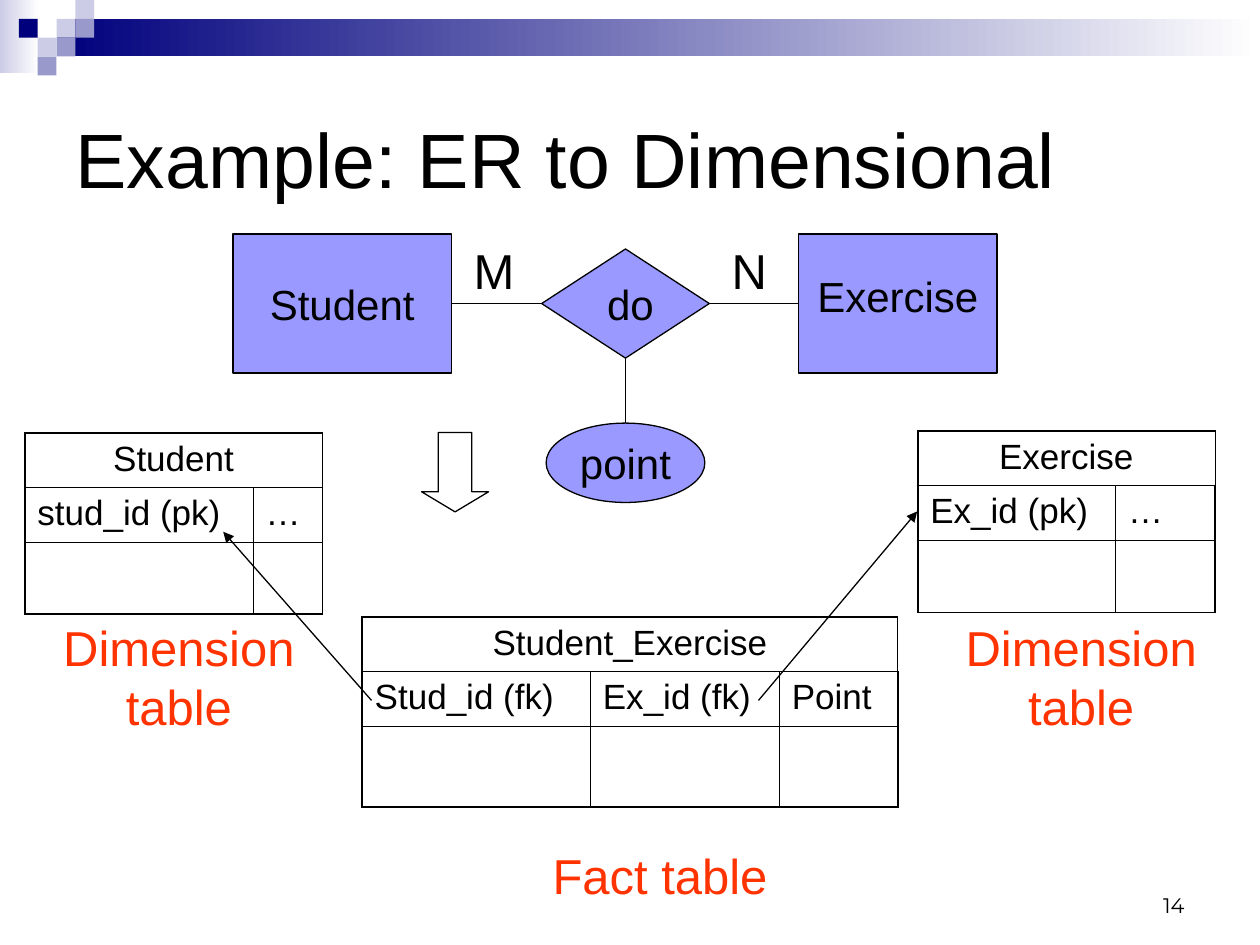
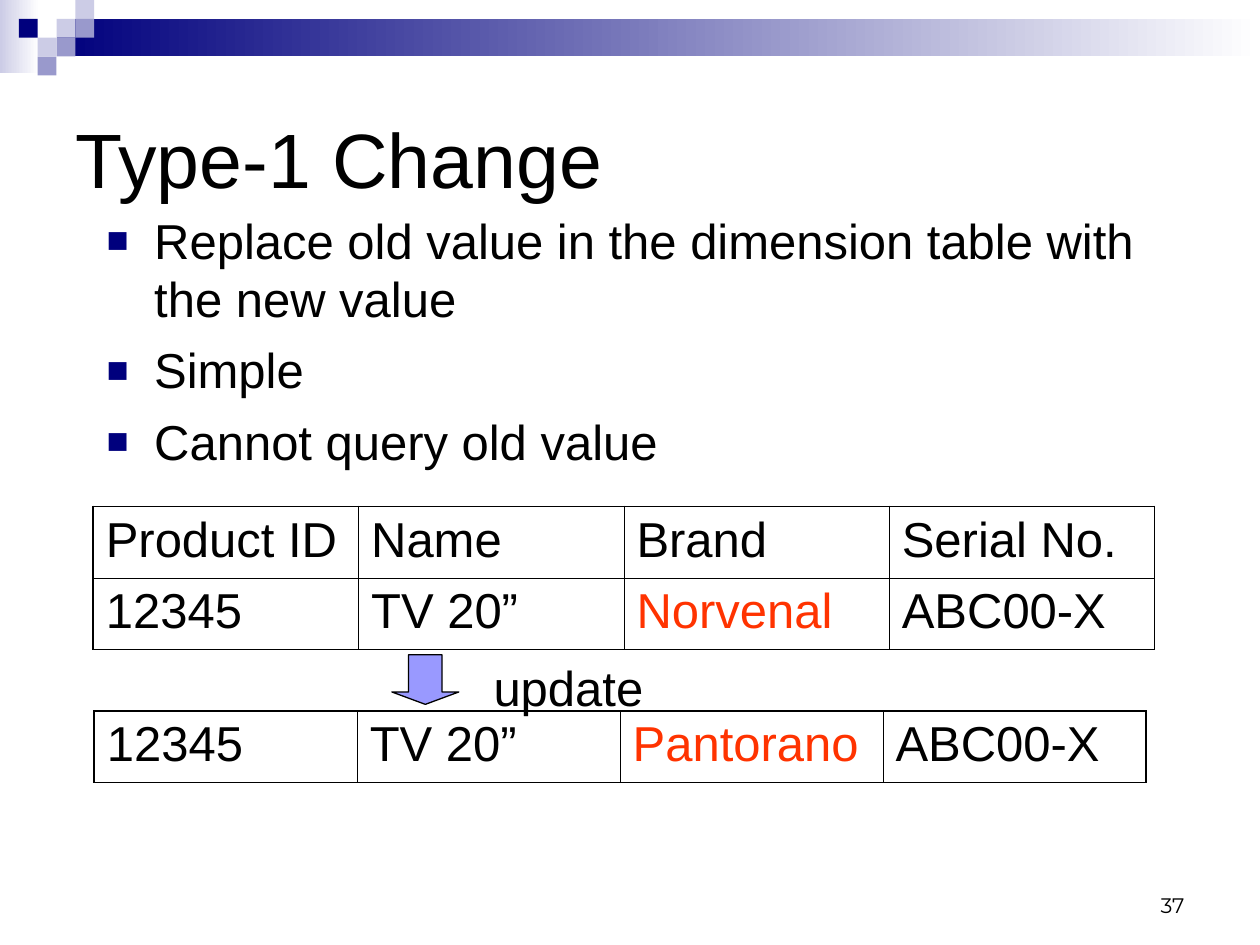
"""Build two data-warehouse slides: an ER-to-dimensional example and a type-1 change."""
import pptx
import pptx.dml.color
import pptx.enum.shapes
import pptx.enum.text
import pptx.oxml
import pptx.oxml.ns
import pptx.util

Cm = pptx.util.Cm
Pt = pptx.util.Pt
SHAPE = pptx.enum.shapes.MSO_SHAPE
ALIGN = pptx.enum.text.PP_ALIGN
ANCHOR = pptx.enum.text.MSO_ANCHOR

BLACK, RED, LILAC = "000000", "FF3300", "9999FF"
NAVY, MID, PALE, WHITE = "00007D", "9999CC", "CCCCE6", "FFFFFF"
THIN, THICK = 0.45, 1.08

FADES = [((0, 0, 0.79, 1.47), PALE), ((1.14, 0.38, 24.26, 0.76), NAVY)]
SQUARE = 0.38
SQUARES = [(3, 1, PALE), (4, 0, PALE), (4, 1, MID), (2, 2, PALE),
           (1, 1, NAVY), (3, 2, MID), (2, 3, MID)]

ER_NODES = {
    "Student": (SHAPE.RECTANGLE, (4.7, 4.72, 4.4, 2.8), (0, 0)),
    "Exercise": (SHAPE.RECTANGLE, (16.1, 4.72, 4, 2.8), (0, 0.3)),
    "do": (SHAPE.DIAMOND, (10.92, 5.02, 3.38, 2.2), (0.2, 0)),
    "point": (SHAPE.OVAL, (11.01, 8.53, 3.2, 1.6), (0, 0)),
}
ER_LINKS = [("Student", 3, "do", 1), ("do", 3, "Exercise", 1), ("do", 2, "point", 0)]
CARDINALITIES = [("M", (9.3, 4.72, 1.4, 1.45)), ("N", (14.5, 4.72, 1.4, 1.45))]
STAR_ROW = 1.1
STAR_TABLES = [
    ((7.3, 12.44), (4.6, 3.81, 2.39), 1.63, "Student_Exercise",
     ["Stud_id (fk)", "Ex_id (fk)", "Point"]),
    ((18.5, 8.69), (3.99, 2), 1.45, "Exercise", ["Ex_id (pk)", "…"]),
    ((0.5, 8.73), (4.6, 1.4), 1.45, "Student", ["stud_id (pk)", "…"]),
]
KEY_ARROWS = [((7.49, 14.12), (4.5, 10.72)), ((15.29, 14.12), (18.49, 10.31))]
CAPTIONS = [
    ("Fact table", (9.7, 16.92, 7.21, 1.45)),
    ("Dimension table", (18.19, 12.32, 7.21, 2.63)),
    ("Dimension table", (0, 12.32, 7.21, 2.63)),
]

POINTS = ["Replace old value in the dimension table with the new value",
          "Simple", "Cannot query old value"]
OLD_BRAND, NEW_BRAND = "Norvenal", "Pantorano"
PRODUCT_TABLES = [
    ((1.88, 10.21), 5.35, [["Product ID", "Name", "Brand", "Serial No."],
                           ["12345", "TV 20”", OLD_BRAND, "ABC00-X"]]),
    ((1.9, 14.33), 5.3, [["12345", "TV 20”", NEW_BRAND, "ABC00-X"]]),
]


def color(value):
    """Turn a hex string into a colour."""
    return pptx.dml.color.RGBColor.from_string(value)


def xml(markup):
    """Parse one drawing element written with the a: prefix."""
    head, gap, rest = markup.partition(" ")
    return pptx.oxml.parse_xml(f"{head} {pptx.oxml.ns.nsdecls('a')}{gap}{rest}")


def write(frame, text, size=28, ink=BLACK, font="Arial", align=ALIGN.LEFT,
          anchor=None, gap=0, bullet=False):
    """Fill a text frame with one paragraph per line of text."""
    frame.word_wrap = True
    if anchor is not None:
        frame.vertical_anchor = anchor
    for number, line in enumerate(text.split("\n")):
        para = frame.add_paragraph() if number else frame.paragraphs[0]
        para.alignment = align
        para.space_before = Pt(gap if number else 0)
        if bullet:
            props = para._p.get_or_add_pPr()
            props.set("marL", str(Cm(0.96)))
            props.set("indent", str(-Cm(0.96)))
            props.append(xml(f'<a:buClr ><a:srgbClr val="{NAVY}"/></a:buClr>'))
            props.append(xml('<a:buSzPct val="75000"/>'))
            props.append(xml('<a:buFont typeface="Arial"/>'))
            props.append(xml('<a:buChar char="■"/>'))
        span = para.add_run()
        span.text = line
        span.font.size, span.font.name = Pt(size), font
        span.font.color.rgb = color(ink)


def add_label(page, text, place, **style):
    """Add a text box."""
    box = page.shapes.add_textbox(*map(Cm, place))
    write(box.text_frame, text, **style)


def add_figure(page, kind, place, fill=None, line=BLACK):
    """Add a preset shape; a pair of fills makes a left-to-right fade."""
    figure = page.shapes.add_shape(kind, *map(Cm, place))
    figure.shadow.inherit = False
    if fill is None:
        figure.fill.background()
    elif isinstance(fill, tuple):
        figure.fill.gradient()
        figure.fill.gradient_angle = 0
        for position, (stop, shade) in enumerate(zip(figure.fill.gradient_stops, fill)):
            stop.position, stop.color.rgb = position, color(shade)
    else:
        figure.fill.solid()
        figure.fill.fore_color.rgb = color(fill)
    if line:
        figure.line.color.rgb = color(line)
        figure.line.width = Pt(0.75)
    else:
        figure.line.fill.background()
    return figure


def add_link(page, start=(0, 0), end=(0, 0), arrow=False):
    """Add a thin straight connector, with an arrowhead at its end if asked."""
    link = page.shapes.add_connector(
        pptx.enum.shapes.MSO_CONNECTOR.STRAIGHT, *map(Cm, (*start, *end)))
    link.line.color.rgb = color(BLACK)
    link.line.width = Pt(0.75)
    if arrow:
        link.line._get_or_add_ln().append(xml('<a:tailEnd type="triangle"/>'))
    link.element.spPr.append(xml("<a:effectLst />"))
    return link


def add_grid(page, corner, widths, heights):
    """Add an unfilled table with a thick frame and thin inner rules."""
    rows, cols = len(heights), len(widths)
    table = page.shapes.add_table(
        rows, cols, *map(Cm, (*corner, sum(widths), sum(heights)))).table
    table.first_row = table.horz_banding = False
    for column, width in zip(table.columns, widths):
        column.width = Cm(width)
    for row, height in zip(table.rows, heights):
        row.height = Cm(height)
    for r in range(rows):
        for c in range(cols):
            cell = table.cell(r, c)
            outer = {"L": c == 0, "R": c == cols - 1, "T": r == 0, "B": r == rows - 1}
            props = cell._tc.get_or_add_tcPr()
            for side, framed in outer.items():
                width = Pt(THICK if framed else THIN)
                props.append(xml(
                    f'<a:ln{side} w="{width}"><a:solidFill><a:srgbClr val="{BLACK}"/>'
                    f"</a:solidFill></a:ln{side}>"))
            cell.fill.background()
    return table


def add_page(deck, title, number):
    """Add a slide with the top band, its title and its page number."""
    page = deck.slides.add_slide(deck.slide_layouts.get_by_name("Title Only"))
    for place, shade in FADES:
        add_figure(page, SHAPE.RECTANGLE, place, (shade, WHITE), None)
    for col, row, shade in SQUARES:
        place = (col * SQUARE, row * SQUARE, SQUARE, SQUARE)
        add_figure(page, SHAPE.RECTANGLE, place, shade, None)
    box = page.shapes.title
    box.left, box.top, box.width, box.height = map(Cm, (1.27, 1.27, 22.86, 3.81))
    write(box.text_frame, title, size=44, anchor=ANCHOR.MIDDLE)
    add_label(page, number, (18.21, 17.35, 5.92, 1.27), size=12, font="Montserrat",
              align=ALIGN.RIGHT, anchor=ANCHOR.BOTTOM)
    return page


def build_example(deck):
    """Show an ER diagram turned into a star of tables."""
    page = add_page(deck, "Example: ER to Dimensional", "14")
    nodes = {}
    for name, (kind, place, (left, bottom)) in ER_NODES.items():
        node = nodes[name] = add_figure(page, kind, place, LILAC)
        frame = node.text_frame
        frame.margin_right = frame.margin_top = 0
        frame.margin_left, frame.margin_bottom = Cm(left), Cm(bottom)
        write(frame, name, size=24, align=ALIGN.CENTER, anchor=ANCHOR.MIDDLE)
    for source, source_side, target, target_side in ER_LINKS:
        link = add_link(page)
        link.begin_connect(nodes[source], source_side)
        link.end_connect(nodes[target], target_side)
    for letter, place in CARDINALITIES:
        add_label(page, letter, place)
    arrow = add_figure(page, SHAPE.DOWN_ARROW, (8.5, 8.72, 1.35, 1.6))
    arrow.adjustments[1] = 0.3
    for corner, widths, last_height, name, fields in STAR_TABLES:
        table = add_grid(page, corner, widths, (STAR_ROW, STAR_ROW, last_height))
        table.cell(0, 0).merge(table.cell(0, len(widths) - 1))
        write(table.cell(0, 0).text_frame, name, size=20, align=ALIGN.CENTER)
        for c, field in enumerate(fields):
            write(table.cell(1, c).text_frame, field, size=20)
    for start, end in KEY_ARROWS:
        add_link(page, start, end, arrow=True)
    for caption, place in CAPTIONS:
        add_label(page, caption, place, ink=RED, align=ALIGN.CENTER)


def build_change(deck):
    """Show a product row before and after its brand is overwritten."""
    page = add_page(deck, "Type-1 Change", "37")
    add_label(page, "\n".join(POINTS), (1.9, 4.11, 21.59, 5.9), gap=7, bullet=True)
    for corner, width, rows in PRODUCT_TABLES:
        table = add_grid(page, corner, [width] * len(rows[0]), [1.44] * len(rows))
        for r, row in enumerate(rows):
            for c, value in enumerate(row):
                ink = RED if value in (OLD_BRAND, NEW_BRAND) else BLACK
                write(table.cell(r, c).text_frame, value, ink=ink)
    arrow = add_figure(page, SHAPE.DOWN_ARROW, (7.9, 13.2, 1.35, 1), LILAC)
    arrow.adjustments[1] = 0.25
    add_label(page, "update", (9.7, 13.13, 4.4, 1.45))


def main():
    """Build and save the deck."""
    deck = pptx.Presentation()
    deck.slide_width, deck.slide_height = Cm(25.4), Cm(19.05)
    build_example(deck)
    build_change(deck)
    deck.save("out.pptx")


if __name__ == "__main__":
    main()
